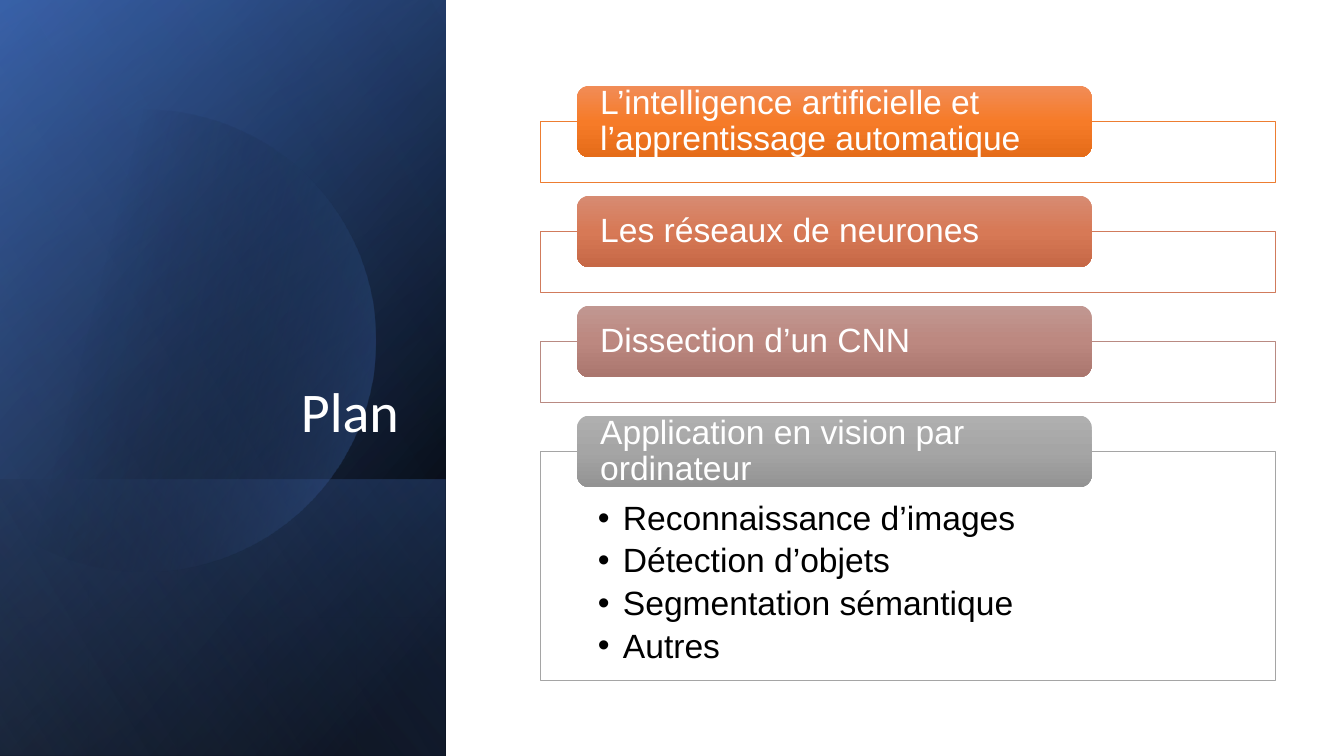
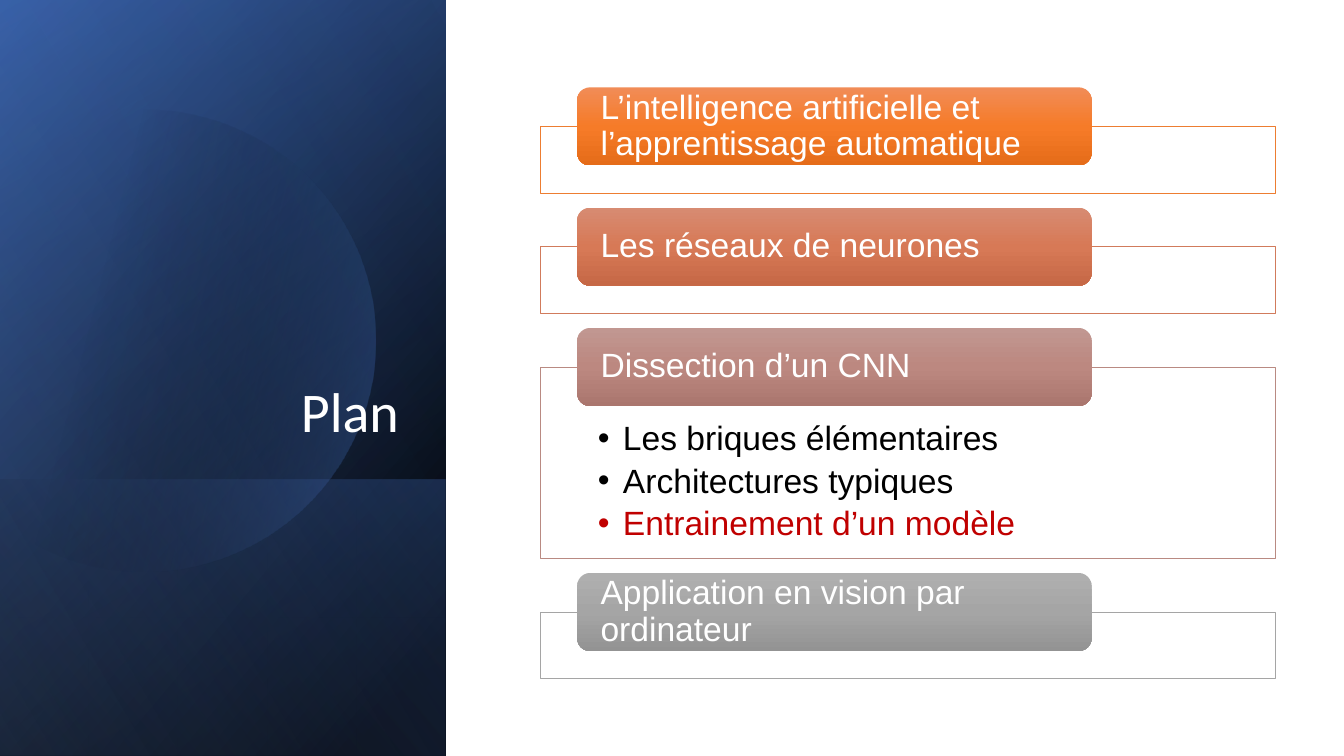
import math
from dataclasses import dataclass

import pptx
import pptx.dml.color
import pptx.enum.shapes
import pptx.enum.text
import pptx.oxml
import pptx.oxml.ns
import pptx.util

Pt = pptx.util.Pt
Rgb = pptx.dml.color.RGBColor.from_string
Kind = pptx.enum.shapes.MSO_SHAPE
Side = pptx.enum.text.PP_ALIGN
Anchor = pptx.enum.text.MSO_ANCHOR
SPACE = pptx.oxml.ns.nsdecls("a")


@dataclass(frozen=True)
class Theme:
    head: str = "Calibri"
    body: str = "Arial"
    big: int = 40
    text: int = 24
    white: str = "FFFFFF"
    black: str = "000000"
    red: str = "C00000"
    # Outline, then the three stops of the pill
    rows: tuple = (
        ("ED7D31", "F18C57", "F67B28", "E56C19"),
        ("D17B5C", "D78B72", "D77956", "C66846"),
        ("B98A82", "C19791", "BC8880", "AA766E"),
        ("A5A5A5", "AFAFAF", "A5A5A5", "939393"),
    )
    # Stops are (position, colour, opacity)
    base: tuple = ((8, "000000", 100), (100, "2F5597", 100))
    glow: tuple = ((0, "000000", 0), (99, "4472C4", 46))
    foot: tuple = ((2, "4472C4", 29), (100, "000000", 30))
    disc: tuple = ((29, "000000", 0), (100, "4472C4", 43))
    veil: tuple = ((0, "000000", 0), (99, "8FAADC", 11))


T = Theme()
HEADS = (
    "L’intelligence artificielle et l’apprentissage automatique",
    "Les réseaux de neurones",
    "Dissection d’un CNN",
    "Application en vision par ordinateur",
)


def blend(shape, stops, angle):
    """Fill a shape with a linear gradient and no outline."""
    shape.shadow.inherit = False
    shape.line.fill.background()
    shape.fill.background()
    marks = "".join(
        f'<a:gs pos="{pos * 1000}"><a:srgbClr val="{color}">'
        f'<a:alpha val="{alpha * 1000}"/></a:srgbClr></a:gs>'
        for pos, color, alpha in stops)
    grad = pptx.oxml.parse_xml(
        f'<a:gradFill {SPACE} rotWithShape="1"><a:gsLst>{marks}</a:gsLst>'
        f'<a:lin ang="{angle * 60000}" scaled="0"/></a:gradFill>')
    props = shape._element.spPr
    props.replace(props.find(pptx.oxml.ns.qn("a:noFill")), grad)


def setup(frame, pads, anchor):
    frame.word_wrap = True
    frame.vertical_anchor = anchor
    (frame.margin_left, frame.margin_top,
     frame.margin_right, frame.margin_bottom) = map(Pt, pads)


def write(para, text, face, size, color, align=Side.LEFT):
    para.text = text
    para.alignment = align
    para.line_spacing = 0.9
    font = para.font
    font.name, font.size = face, Pt(size)
    font.color.rgb = Rgb(color)


def band(slide, box, stops, angle):
    """Cover the box with a mirrored rectangle turned by 90 degrees."""
    x, y, w, h = box
    shape = slide.shapes.add_shape(
        Kind.RECTANGLE, Pt(x + (w - h) / 2), Pt(y + (h - w) / 2), Pt(h), Pt(w))
    shape.rotation = 90
    shape._element.spPr.xfrm.set("flipH", "1")
    blend(shape, stops, angle)


def disc(slide, box):
    """Draw a circle cut off by the left edge of the box."""
    x, y = box[:2]
    cx, cy, radius = 103, 243.5, 165
    end = math.acos(-cx / radius)
    steps = 120
    turns = [end * (2 * i / steps - 1) for i in range(steps + 1)]
    dots = [(Pt(x + cx + radius * math.cos(a)),
             Pt(y + cy + radius * math.sin(a))) for a in turns]
    path = slide.shapes.build_freeform(*dots[0])
    path.add_line_segments(dots[1:], close=True)
    blend(path.convert_to_shape(), T.disc, 14)


def sidebar(slide, box, title):
    x, y, w, h = box
    # Layered background
    band(slide, box, T.base, 50)
    band(slide, box, T.glow, 30)
    band(slide, (x, y + h - 197.3, w, 197.3), T.foot, 130)
    disc(slide, box)
    band(slide, box, T.veil, 120)
    # Title
    label = slide.shapes.add_textbox(
        Pt(x + 46), Pt(y + 132.5), Pt(w - 72.5), Pt(188.6))
    setup(label.text_frame, (7.2, 3.6, 7.2, 3.6), Anchor.BOTTOM)
    write(label.text_frame.paragraphs[0], title, T.head, T.big, T.white,
          Side.RIGHT)


def bullets(frame, items, top):
    setup(frame, (41, top, 41, 14), Anchor.TOP)
    for i, (text, color) in enumerate(items):
        para = frame.add_paragraph() if i else frame.paragraphs[0]
        props = para._p.get_or_add_pPr()
        props.set("marL", str(Pt(18)))
        props.set("indent", str(-Pt(18)))
        for tag in ('buFont %s typeface="Arial"', 'buChar %s char="•"'):
            props.append(pptx.oxml.parse_xml(f"<a:{tag % SPACE}/>"))
        write(para, text, T.body, T.text, color)
        para.space_after = Pt(4.5)


def panel(slide, box, color, items, top):
    shape = slide.shapes.add_shape(Kind.RECTANGLE, *map(Pt, box))
    shape.shadow.inherit = False
    shape.fill.solid()
    shape.fill.fore_color.rgb = Rgb(T.white)
    tint = shape._element.spPr.find(".//" + pptx.oxml.ns.qn("a:srgbClr"))
    tint.append(pptx.oxml.parse_xml(f'<a:alpha {SPACE} val="90000"/>'))
    shape.line.color.rgb = Rgb(color)
    shape.line.width = Pt(0.5)
    if items:
        bullets(shape.text_frame, items, top)


def pill(slide, box, colors, text):
    shape = slide.shapes.add_shape(Kind.ROUNDED_RECTANGLE, *map(Pt, box))
    blend(shape, [(50 * i, c, 100) for i, c in enumerate(colors)], 90)
    setup(shape.text_frame, (14, 0, 14, 0), Anchor.MIDDLE)
    write(shape.text_frame.paragraphs[0], text, T.body, T.text, T.white)


def agenda(slide, box, tall, spot, items, body):
    """Stack the rows, centred in the box; the row at spot is open."""
    x, y, w, h = box
    gap = 0.685 * tall
    sizes = [body if i == spot else 0.855 * tall for i in range(len(HEADS))]
    total = tall / 2 + sum(sizes) + gap * (len(HEADS) - 1)
    top = y + (h - total) / 2 + tall / 2
    for i, (text, size) in enumerate(zip(HEADS, sizes)):
        edge, *colors = T.rows[i]
        panel(slide, (x, top, w, size), edge,
              items if i == spot else (), 0.7 * tall)
        pill(slide, (x + w * 0.05, top - tall / 2, w * 0.7, tall),
             colors, text)
        top += size + gap


def plan(deck, tall, spot, items, body):
    slide = deck.slides.add_slide(deck.slide_layouts[6])
    sidebar(slide, (0, 0, 318.5, 540), "Plan")
    agenda(slide, (386, 60, 525, 427.2), tall, spot, items, body)


def main():
    deck = pptx.Presentation()
    deck.slide_width, deck.slide_height = Pt(960), Pt(540)
    plan(deck, 51, 3, (
        ("Reconnaissance d’images", T.black),
        ("Détection d’objets", T.black),
        ("Segmentation sémantique", T.black),
        ("Autres", T.black),
    ), 163.5)
    plan(deck, 55.8, 2, (
        ("Les briques élémentaires", T.black),
        ("Architectures typiques", T.black),
        ("Entrainement d’un modèle", T.red),
    ), 136.8)
    deck.save("out.pptx")


if __name__ == "__main__":
    main()
